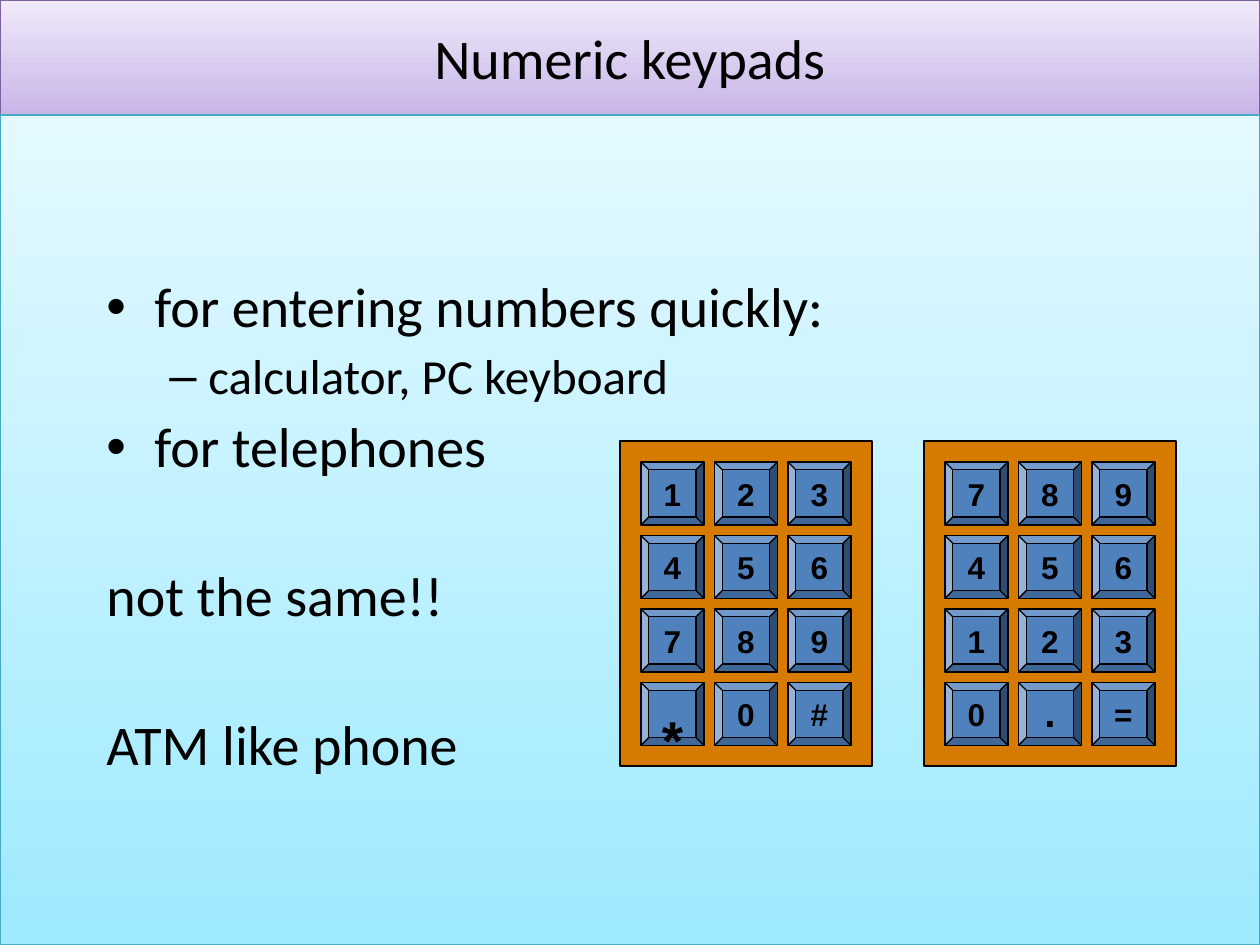
from dataclasses import dataclass

from lxml.etree import SubElement
from pptx import Presentation
from pptx.dml.color import RGBColor
from pptx.enum.shapes import MSO_SHAPE as Preset
from pptx.enum.text import MSO_ANCHOR as Anchor, PP_ALIGN as Align
from pptx.oxml.ns import qn
from pptx.util import Emu, Pt


@dataclass(frozen=True)
class Theme:
    """Colours, fonts and type sizes of the slide."""
    ink: str = "000000"
    title_fill: tuple = ("C9B5E8", "F0EAF9")
    title_line: str = "7D60A0"
    panel_fill: tuple = ("9EEAFF", "E4F9FF")
    panel_line: str = "46AAC5"
    pad_fill: str = "D77A00"
    key_fill: str = "4F81BD"
    text_font: str = "Calibri"
    key_font: str = "Arial"
    large: int = 32
    medium: int = 28
    key: int = 18


THEME = Theme()
WIDTH, HEIGHT, TITLE_HEIGHT = 1260, 945, 115
PHONE_KEYS = ("123", "456", "789", "*0#")
CALCULATOR_KEYS = ("789", "456", "123", "0.=")
KEY_FORMATS = {"*": {"size": 54, "baseline": -10}, ".": {"size": 40, "baseline": 20}}
BULLETS = (
    ("for entering numbers quickly:", {"bullet": "•"}),
    ("calculator, PC keyboard",
     {"bullet": "–", "level": 1, "size": THEME.medium, "left": 102, "hanging": 39, "before": 7}),
    ("for telephones", {"bullet": "•"}),
    ("not the same!!", {"before": 50.5}),
    ("ATM like phone", {"before": 50.5}),
)


def px(length):
    """Turn pixels into EMU."""
    return Emu(round(length * 914400 / 126))


def add_box(shapes, preset, box, fill, line):
    """Add a preset shape with a solid fill, or a gradient from bottom to top."""
    shape = shapes.add_shape(preset, *map(px, box))
    shape.shadow.inherit = False
    if isinstance(fill, tuple):
        shape.fill.gradient()
        shape.fill.gradient_angle = 90
        for stop, colour in zip(shape.fill.gradient_stops, fill):
            stop.color.rgb = RGBColor.from_string(colour)
    else:
        shape.fill.solid()
        shape.fill.fore_color.rgb = RGBColor.from_string(fill)
    shape.line.color.rgb = RGBColor.from_string(line)
    shape.line.width = Pt(0.75)
    return shape


def write(paragraph, text, *, size=THEME.large, font=THEME.text_font, bold=False,
          align=Align.LEFT, before=0, spacing=1.0, level=0, left=0, hanging=0,
          bullet=None, baseline=0):
    """Write one formatted run into a paragraph."""
    paragraph.alignment = align
    paragraph.level = level
    paragraph.space_before = Pt(before)
    paragraph.line_spacing = spacing
    properties = paragraph._p.get_or_add_pPr()
    properties.set("marL", str(px(left)))
    properties.set("indent", str(px(-hanging)))
    if bullet:
        SubElement(properties, qn("a:buFont"), typeface="Arial")
        SubElement(properties, qn("a:buChar"), char=bullet)
    else:
        SubElement(properties, qn("a:buNone"))
    run = paragraph.add_run()
    run.text = text
    run.font.size = Pt(size)
    run.font.name = font
    run.font.bold = bold
    run.font.color.rgb = RGBColor.from_string(THEME.ink)
    if baseline:
        run._r.get_or_add_rPr().set("baseline", str(baseline * 1000))


def add_title(slide, box, text):
    """Add the title band."""
    frame = add_box(slide.shapes, Preset.RECTANGLE, box,
                    THEME.title_fill, THEME.title_line).text_frame
    frame.vertical_anchor = Anchor.MIDDLE
    write(frame.paragraphs[0], text, align=Align.CENTER, before=8)


def add_bullets(slide, box, items):
    """Add the text block with its list levels."""
    frame = slide.shapes.add_textbox(*map(px, box)).text_frame
    frame.word_wrap = True
    for index, (text, changes) in enumerate(items):
        paragraph = frame.add_paragraph() if index else frame.paragraphs[0]
        base = {"left": 48, "hanging": 48, "before": 8, "spacing": 0.9}
        write(paragraph, text, **(base | changes))


def add_keypad(slide, box, rows, margin=21, key=63):
    """Add a grouped keypad, its keys spread evenly across the box."""
    left, top, width, _ = box
    columns = len(rows[0])
    gap = (width - 2 * margin - columns * key) / (columns - 1)
    shapes = slide.shapes.add_group_shape().shapes
    add_box(shapes, Preset.RECTANGLE, box, THEME.pad_fill, THEME.ink)
    for row, labels in enumerate(rows):
        for column, label in enumerate(labels):
            place = (left + margin + column * (key + gap),
                     top + margin + row * (key + gap), key, key)
            frame = add_box(shapes, Preset.BEVEL, place, THEME.key_fill, THEME.ink).text_frame
            frame.word_wrap = False
            frame.vertical_anchor = Anchor.MIDDLE
            base = {"size": THEME.key, "font": THEME.key_font, "bold": True,
                    "align": Align.CENTER}
            write(frame.paragraphs[0], label, **(base | KEY_FORMATS.get(label, {})))


def main():
    """Build and save the slide."""
    presentation = Presentation()
    presentation.slide_width, presentation.slide_height = px(WIDTH), px(HEIGHT)
    slide = presentation.slides.add_slide(presentation.slide_layouts[6])
    add_title(slide, (0, 0, WIDTH, TITLE_HEIGHT), "Numeric keypads")
    add_box(slide.shapes, Preset.RECTANGLE, (0, TITLE_HEIGHT, WIDTH, HEIGHT - TITLE_HEIGHT),
            THEME.panel_fill, THEME.panel_line)
    add_bullets(slide, (94, 273, 1071, 557), BULLETS)
    for left, rows in ((620, PHONE_KEYS), (924, CALCULATOR_KEYS)):
        add_keypad(slide, (left, 441, 252, 325), rows)
    presentation.save("out.pptx")


if __name__ == "__main__":
    main()
